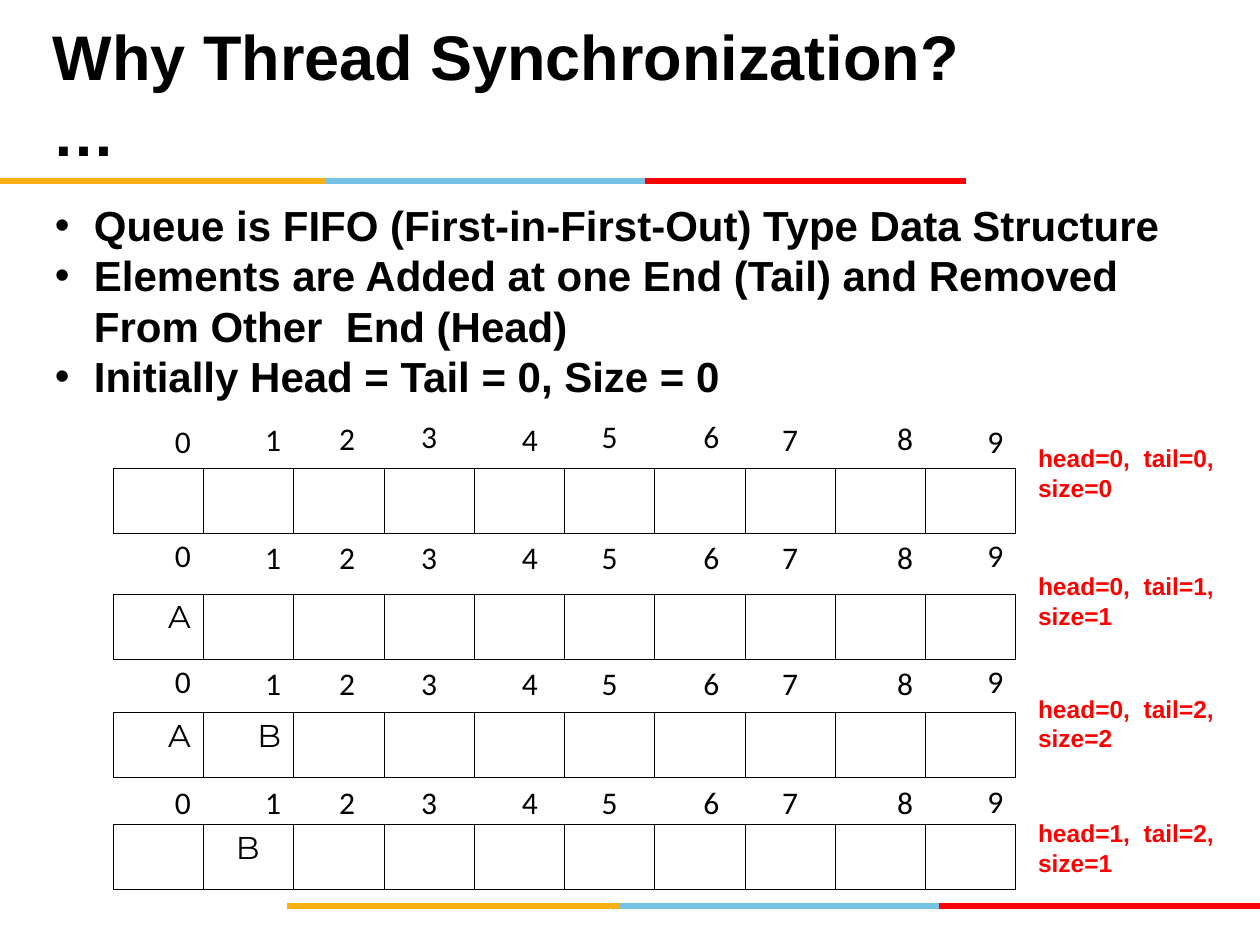
from pptx import Presentation
from pptx.dml.color import RGBColor
from pptx.enum.shapes import MSO_CONNECTOR
from pptx.enum.text import PP_ALIGN as Align
from pptx.oxml.ns import qn
from pptx.util import Emu, Pt
from lxml.etree import SubElement

BLACK = RGBColor(0x00, 0x00, 0x00)
RED = RGBColor(0xFF, 0x00, 0x00)
BLUE = RGBColor(0x76, 0xC2, 0xE4)
ORANGE = RGBColor(0xFB, 0xAF, 0x17)


def px(count):
    return Emu(round(count * 914400 / 126))


# Content
TITLE = "Why Thread Synchronization? …"
BULLETS = [
    "Queue is FIFO (First-in-First-Out) Type Data Structure",
    "Elements are Added at one End (Tail) and Removed From Other  End (Head)",
    "Initially Head = Tail = 0, Size = 0",
]
# text, space before in points
STATES = [
    ("head=0,  tail=0,  size=0", 0),
    ("head=0,  tail=1,  size=1", 39),
    ("head=0,  tail=2,  size=2", 36),
    ("head=1,  tail=2,  size=1", 37),
]
# left, right, y, colour, width in points
RULES = [
    (287, 643, 906, ORANGE, 3.83),
    (620, 940, 906, BLUE, 3.6),
    (294, 620, 906, ORANGE, 3.6),
    (939, 1260, 906, RED, 3.6),
    (325, 646, 181, BLUE, 3.6),
    (0, 325, 181, ORANGE, 3.6),
    (645, 966, 181, RED, 3.6),
]

# Queue tables
SLOTS = 10
QUEUE_LEFT, QUEUE_WIDTH, SLOT_HEIGHT = 113, 903, 65
# alignment and left indent of the index above each slot
INDEX_LAYOUT = [
    (Align.RIGHT, 0), (Align.RIGHT, 0), (Align.LEFT, 33), (Align.CENTER, 0),
    (Align.LEFT, 35), (Align.CENTER, 0), (Align.LEFT, 36), (Align.CENTER, 0),
    (Align.RIGHT, 0), (Align.RIGHT, 0),
]
# height, line spacing in points by slot (the rest are single spaced)
FIRST_INDEX = (46, dict(enumerate(
    [19.5, 18.4, 17.9, 17.1, 18.5, 17.1, 17.2, 18.7, 18, 19.6])))
SECOND_INDEX = (61, {0: 21, 9: 20.8})
THIRD_INDEX = (54, {0: 21, 9: 20.8})
LAST_INDEX = (59, {9: 21.5})
# a string is a row of queue slots, a tuple is a row of indexes
HISTORY = [FIRST_INDEX, "", SECOND_INDEX, "A", THIRD_INDEX, "AB", LAST_INDEX]
FINAL_QUEUE = [" B"]


def add_rule(slide, left, right, y, color, width):
    line = slide.shapes.add_connector(
        MSO_CONNECTOR.STRAIGHT, px(left), px(y), px(right), px(y))
    line.line.color.rgb = color
    line.line.width = Pt(width)
    SubElement(line._element.spPr, qn("a:effectLst"))


def set_font(paragraph, name, size, color=BLACK, bold=False):
    font = paragraph.font
    font.name, font.size, font.bold = name, Pt(size), bold
    font.color.rgb = color


def set_indent(paragraph, left, first=0):
    properties = paragraph._p.get_or_add_pPr()
    properties.set("marL", str(px(left)))
    properties.set("indent", str(px(first)))
    return properties


def add_text(slide, box, paragraphs, size, spacing, color=BLACK,
             indent=(0, 0), bullet=None):
    """Add a bold text box; paragraphs are (text, space before) pairs."""
    frame = slide.shapes.add_textbox(*map(px, box)).text_frame
    frame.word_wrap = True
    frame.margin_left = frame.margin_right = 0
    frame.margin_top = frame.margin_bottom = 0
    for number, (text, space) in enumerate(paragraphs):
        paragraph = frame.add_paragraph() if number else frame.paragraphs[0]
        paragraph.text = text
        properties = set_indent(paragraph, *indent)
        if bullet:
            SubElement(properties, qn("a:buFont"), typeface="Arial")
            SubElement(properties, qn("a:buChar"), char=bullet)
        paragraph.line_spacing = Pt(spacing)
        if space:
            paragraph.space_before = Pt(space)
        set_font(paragraph, "Arial", size, color, bold=True)


def set_borders(cell, sides):
    properties = cell._tc.get_or_add_tcPr()
    for side in "LRTB":
        line = SubElement(properties, qn(f"a:ln{side}"), w=str(Pt(0.45)))
        if side in sides:
            fill = SubElement(line, qn("a:solidFill"))
            SubElement(fill, qn("a:srgbClr"), val=str(BLACK))
        else:
            SubElement(line, qn("a:noFill"))
    cell.fill.background()


def fill_cell(cell, text, font, align, indent, spacing):
    paragraph = cell.text_frame.paragraphs[0]
    paragraph.text = text
    paragraph.alignment = align
    set_indent(paragraph, indent)
    if spacing:
        paragraph.line_spacing = Pt(spacing)
    set_font(paragraph, font, 18)


def add_queue(slide, top, rows, letter_align, letter_indent=0):
    heights = [SLOT_HEIGHT if isinstance(row, str) else row[0] for row in rows]
    table = slide.shapes.add_table(
        len(rows), SLOTS, px(QUEUE_LEFT), px(top),
        px(QUEUE_WIDTH), px(sum(heights))).table
    table.first_row = table.horz_banding = False
    for column in table.columns:
        column.width = px(QUEUE_WIDTH / SLOTS)
    for number, (row, height) in enumerate(zip(rows, heights)):
        table.rows[number].height = px(height)
        is_queue = isinstance(row, str)
        if is_queue:
            sides = "LRTB"
        else:
            sides = ("T" if number else "") + ("B" if number < len(rows) - 1 else "")
        for slot in range(SLOTS):
            cell = table.cell(number, slot)
            set_borders(cell, sides)
            if not is_queue:
                fill_cell(cell, str(slot), "Calibri", *INDEX_LAYOUT[slot],
                          row[1].get(slot))
            elif row[slot:slot + 1].strip():
                fill_cell(cell, row[slot], "Montserrat", letter_align,
                          letter_indent, 21)


def main():
    presentation = Presentation()
    presentation.slide_width, presentation.slide_height = px(1260), px(945)
    slide = presentation.slides.add_slide(presentation.slide_layouts[6])

    # Coloured rules
    for rule in RULES:
        add_rule(slide, *rule)

    # Title and bullets
    add_text(slide, (53, 18, 918, 152), [(TITLE, 0)], 36, 43.2)
    add_text(slide, (53, 200, 1182, 202), [(text, 0) for text in BULLETS],
             24, 28.7, indent=(41, -39), bullet="•")

    # Queue states and their counters
    add_queue(slide, 824, FINAL_QUEUE, Align.LEFT, 20)
    add_queue(slide, 421, HISTORY, Align.RIGHT)
    add_text(slide, (1032, 443, 260, 435), STATES, 14, 17, RED, indent=(6, 0))

    presentation.save("out.pptx")


if __name__ == "__main__":
    main()
